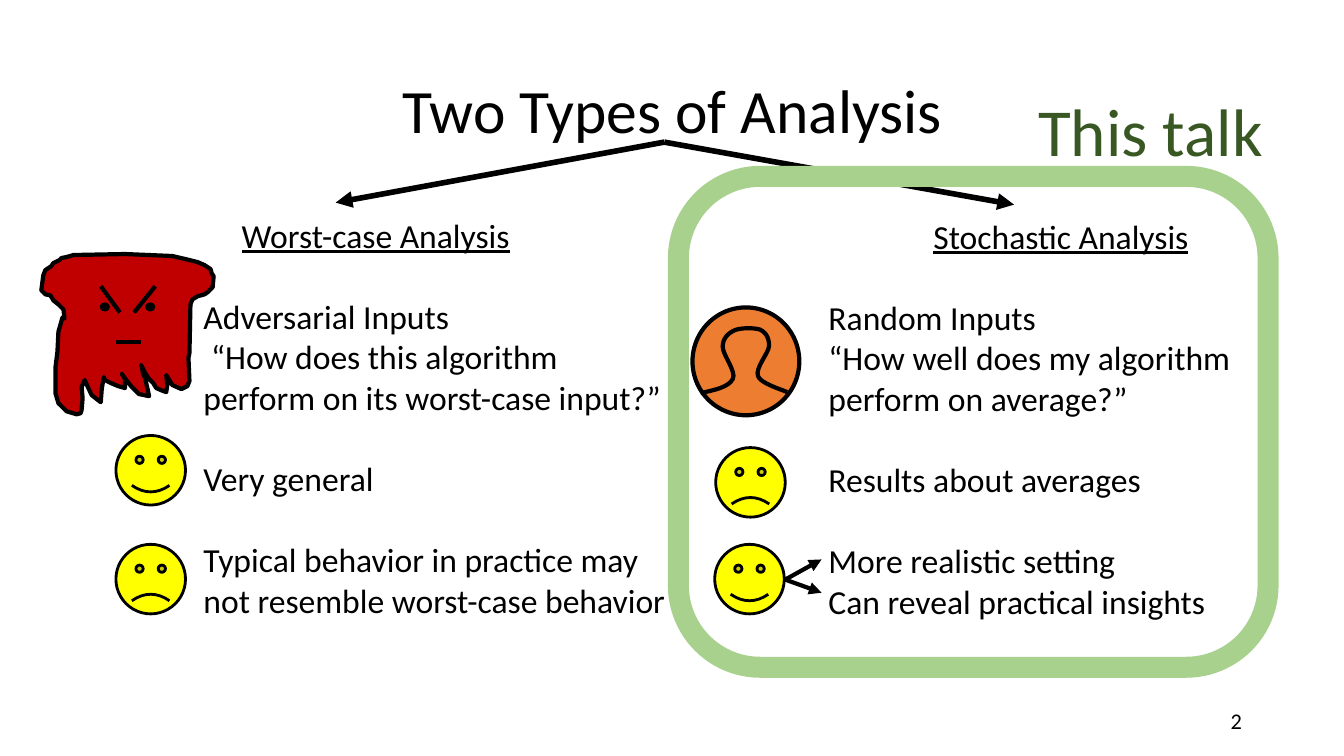
from dataclasses import dataclass

from lxml import etree
from pptx import Presentation
from pptx.dml.color import RGBColor
from pptx.enum.shapes import MSO_CONNECTOR as Connector, MSO_SHAPE as Shape
from pptx.enum.text import MSO_ANCHOR as Anchor, PP_ALIGN as Align
from pptx.oxml.ns import qn
from pptx.util import Inches, Pt


@dataclass(frozen=True)
class Theme:
    font: str = "Calibri"
    ink: str = "000000"
    monster: str = "C00000"
    face: str = "FFFF00"
    person: str = "ED7D31"
    frame: str = "A9D18E"
    callout: str = "385723"
    title_size: int = 44
    callout_size: int = 48
    body_size: int = 24
    number_size: int = 16
    block_gap: float = 29.3
    thin: int = 2
    medium: int = 3
    thick: int = 4
    frame_width: int = 15


THEME = Theme()

# The grid: square cells, a tenth of an inch each
COLUMNS, ROWS = 133.33, 75
FACE_SIZE = 6.9

MONSTER_OUTLINE = [
    (6.4, 31.6), (6.3, 30.7), (5.8, 30.2), (5.3, 29.8), (5, 29.3), (4.5, 29.2),
    (4.1, 28.8), (4.3, 27.3), (4.5, 26.8), (5.1, 26.4), (5.3, 26.1), (5.9, 25.8),
    (6.1, 25.6), (6.6, 25.5), (7.3, 25.3), (12.4, 25.2), (17.1, 25.4), (18.4, 25.7),
    (19.6, 26), (20.3, 26.3), (20.9, 26.7), (21, 27.1), (21.2, 27.4), (21.1, 28.5),
    (20.6, 29), (20.3, 29.2), (19.6, 29.4), (19.1, 29.7), (18.9, 30.2), (18.8, 35),
    (18.7, 35.5), (18.8, 37.8), (18.6, 38.3), (18, 38.6), (17.1, 38.2), (16.8, 37.7),
    (16.5, 37.2), (16.6, 38.2), (16.5, 38.9), (16.2, 38.8), (15.5, 38.5), (15.2, 38),
    (14.8, 37.6), (14.4, 37), (14, 36.2), (14.1, 36.5), (14.2, 37.1), (14.4, 37.5),
    (14.6, 38.4), (14.8, 39.3), (13.8, 39.1), (13, 38.3), (12.3, 37.4), (12.1, 37.1),
    (12.4, 37.6), (12.4, 38.5), (11.7, 38.3), (11, 38), (10.4, 37.7), (10.3, 37.4),
    (10.1, 38.6), (10, 39.9), (9.1, 39.2), (9, 39), (8.4, 37.7), (8.1, 38.4),
    (8.2, 39.5), (8.1, 40.7), (8, 41), (7.6, 41.1), (6.6, 40.8), (6.4, 40.6),
    (5.8, 40), (5.5, 39), (5.5, 36.5), (5.7, 34.9), (5.8, 32.9), (6, 32.2), (6.2, 31.5),
]

# Bezier curves: a start point, then two controls and an end for each curve
PERSON_START = (69.5, 39)
PERSON_CURVES = [
    ((70.9, 38.7), (72.3, 38.4), (72.7, 37.6)),
    ((73.1, 36.9), (71.7, 35.2), (71.7, 34.4)),
    ((71.7, 33.6), (72.2, 33.1), (72.8, 32.8)),
    ((73.4, 32.5), (74.8, 32.5), (75.4, 32.7)),
    ((76, 33), (76.3, 33.5), (76.3, 34.3)),
    ((76.3, 35), (74.9, 36.5), (75.2, 37.3)),
    ((75.4, 38), (77.4, 38.6), (78.1, 38.9)),
]


def cells(*counts):
    return [Inches(count / 10) for count in counts]


def style_shape(shape, fill, line, width):
    shape.shadow.inherit = False
    if fill:
        shape.fill.solid()
        shape.fill.fore_color.rgb = RGBColor.from_string(fill)
    else:
        shape.fill.background()
    if line:
        shape.line.color.rgb = RGBColor.from_string(line)
        shape.line.width = Pt(width)
    else:
        shape.line.fill.background()


def add_figure(shapes, kind, box, fill=None, line=THEME.ink, width=THEME.medium):
    shape = shapes.add_shape(kind, *cells(*box))
    style_shape(shape, fill, line, width)
    return shape


def add_face(shapes, left, top, smile):
    face = add_figure(shapes, Shape.SMILEY_FACE, (left, top, FACE_SIZE, FACE_SIZE),
                      THEME.face, width=THEME.thin)
    face.adjustments[0] = smile


def add_outline(shapes, points, fill=None, close=False):
    builder = shapes.build_freeform(*cells(*points[0]))
    builder.add_line_segments([cells(*point) for point in points[1:]], close=close)
    style_shape(builder.convert_to_shape(), fill, THEME.ink, THEME.medium)


def add_line(shapes, start, end, width=THEME.medium, arrow=False):
    connector = shapes.add_connector(Connector.STRAIGHT, *cells(*start, *end))
    connector.line.color.rgb = RGBColor.from_string(THEME.ink)
    connector.line.width = Pt(width)
    if arrow:
        etree.SubElement(connector.line._get_or_add_ln(), qn("a:tailEnd"), type="triangle")
    etree.SubElement(connector._element.spPr, qn("a:effectLst"))


def style_paragraph(paragraph, size, color=THEME.ink, align=Align.LEFT, underline=False):
    paragraph.alignment = align
    for run in paragraph.runs:
        run.font.name = THEME.font
        run.font.size = Pt(size)
        run.font.color.rgb = RGBColor.from_string(color)
        run.font.underline = underline


def add_label(shapes, box, text, size, color=THEME.ink, align=Align.LEFT,
              anchor=Anchor.TOP, wrap=True):
    frame = shapes.add_textbox(*cells(*box)).text_frame
    frame.word_wrap = wrap
    frame.vertical_anchor = anchor
    frame.text = text
    style_paragraph(frame.paragraphs[0], size, color, align)
    return frame


def add_column(shapes, box, heading, blocks, align=Align.LEFT, indent=0):
    frame = add_label(shapes, box, heading, THEME.body_size)
    title = frame.paragraphs[0]
    style_paragraph(title, THEME.body_size, align=align, underline=True)
    title._p.get_or_add_pPr().set("marL", str(cells(indent)[0]))
    for block in blocks:
        for index, line in enumerate(block):
            paragraph = frame.add_paragraph()
            paragraph.text = line
            paragraph.space_before = Pt(0 if index else THEME.block_gap)
            style_paragraph(paragraph, THEME.body_size)


def curve_points(start, curves, steps=8):
    points = [start]
    for first, second, end in curves:
        origin = points[-1]
        for step in range(1, steps + 1):
            t = step / steps
            weights = ((1 - t) ** 3, 3 * t * (1 - t) ** 2, 3 * t * t * (1 - t), t ** 3)
            corners = (origin, first, second, end)
            points.append(tuple(sum(w * corner[axis] for w, corner in zip(weights, corners))
                                for axis in (0, 1)))
    return points


def add_monster(shapes):
    group = shapes.add_group_shape().shapes
    add_outline(group, MONSTER_OUTLINE, THEME.monster, close=True)
    # Eyebrows and mouth
    for start, end in [((10, 28.4), (11.9, 31)), ((15.4, 28.4), (13.3, 31)),
                       ((11.5, 33.9), (14, 33.9))]:
        add_line(group, start, end)
    # Eyes
    for left in (9.9, 14.4):
        add_figure(group, Shape.OVAL, (left, 30, 1, 0.9), THEME.ink, line=None)


def add_person(shapes):
    group = shapes.add_group_shape().shapes
    add_figure(group, Shape.OVAL, (68.7, 30.5, 10.6, 10.7), THEME.person)
    add_outline(group, curve_points(PERSON_START, PERSON_CURVES))


def main():
    presentation = Presentation()
    presentation.slide_width, presentation.slide_height = cells(COLUMNS, ROWS)
    slide = presentation.slides.add_slide(presentation.slide_layouts[6])
    shapes = slide.shapes

    # Title and slide number
    title = add_label(shapes, (9.2, 4, 115, 14.5), "Two Types of Analysis",
                      THEME.title_size, align=Align.CENTER, anchor=Anchor.MIDDLE)
    title.paragraphs[0].line_spacing = 0.9
    add_label(shapes, (94.2, 69.5, 30, 4), "2", THEME.number_size,
              align=Align.RIGHT, anchor=Anchor.MIDDLE)

    # Branches from the title to the two columns
    branches = shapes.add_group_shape().shapes
    for tip in [(33.3, 20.1), (100.6, 20.3)]:
        add_line(branches, (65.9, 14.1), tip, THEME.thick, arrow=True)

    # Worst-case column
    add_column(shapes, (19.2, 20.8, 48.7, 45.4), "Worst-case Analysis", [
        ["Adversarial Inputs",
         " “How does this algorithm perform on its worst-case input?”"],
        ["Very general"],
        ["Typical behavior in practice may not resemble worst-case behavior"],
    ], indent=3.8)
    add_monster(shapes)
    add_face(shapes, 11.5, 43.2, 0.05)
    add_face(shapes, 11.5, 54, -0.05)

    # Stochastic column
    add_column(shapes, (81.2, 20.9, 48.1, 41.4), "Stochastic Analysis", [
        ["Random Inputs", "“How well does my algorithm perform on average?”"],
        ["Results about averages"],
        ["More realistic setting", "Can reveal practical insights"],
    ], align=Align.CENTER)
    add_person(shapes)
    add_face(shapes, 71, 44.4, -0.05)
    benefits = shapes.add_group_shape().shapes
    add_face(benefits, 70.9, 54, 0.05)
    for tip in [(81.5, 55.5), (81.5, 58.8)]:
        add_line(benefits, (77.9, 57.5), tip, arrow=True)

    # Highlight around the topic of the talk
    highlight = shapes.add_group_shape().shapes
    add_figure(highlight, Shape.ROUNDED_RECTANGLE, (67.3, 17.5, 58.5, 48.7),
               line=THEME.frame, width=THEME.frame_width)
    add_label(highlight, (102, 8.4, 24.6, 9.1), "This talk", THEME.callout_size,
              THEME.callout, wrap=False)

    presentation.save("out.pptx")


if __name__ == "__main__":
    main()
